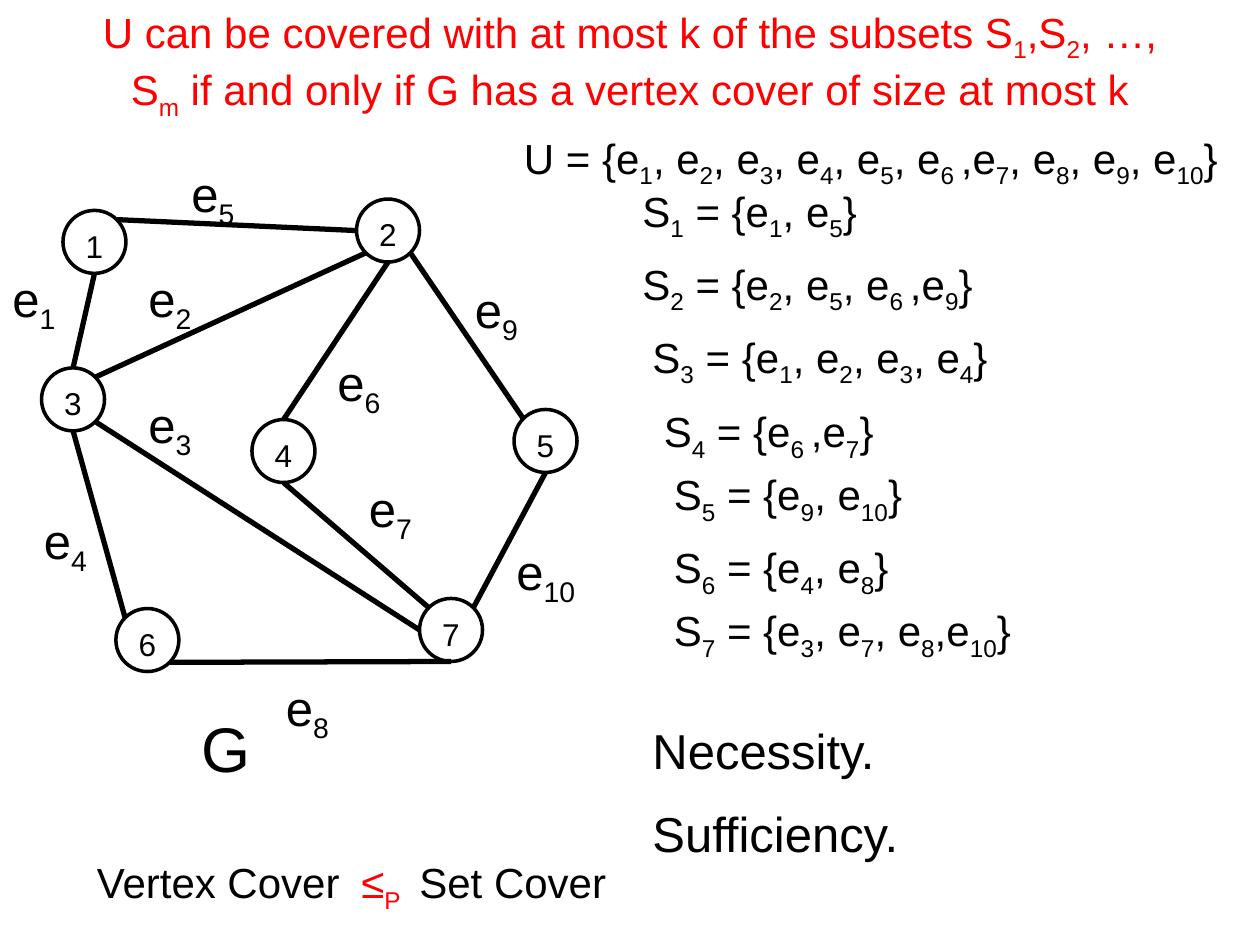
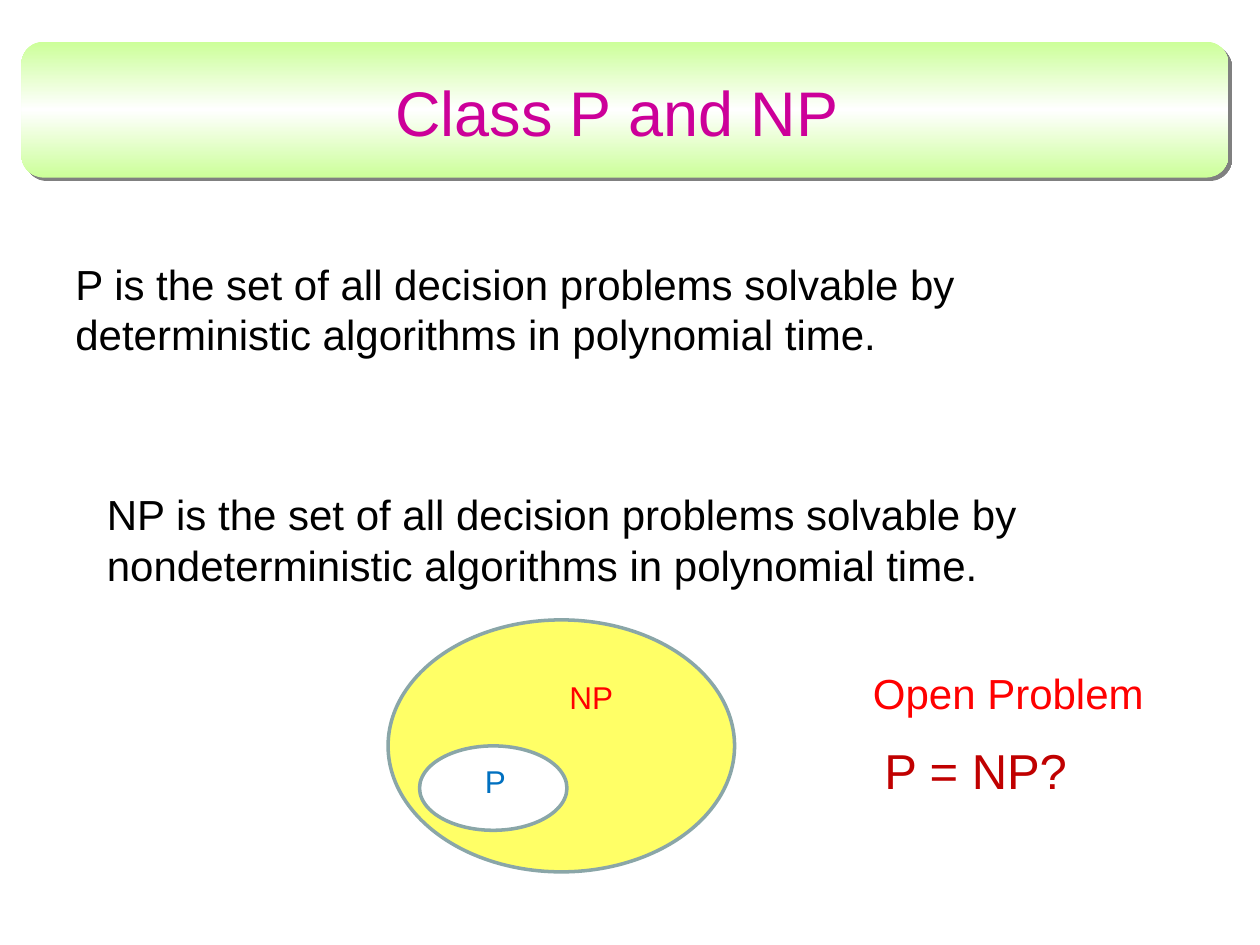
"""Build two slides on vertex cover, set cover and the classes P and NP."""
from copy import deepcopy
from math import cos, radians, sin

from lxml.etree import SubElement
from pptx import Presentation
from pptx.dml.color import RGBColor
from pptx.enum.shapes import MSO_CONNECTOR, MSO_SHAPE
from pptx.enum.text import MSO_ANCHOR, MSO_AUTO_SIZE, PP_ALIGN
from pptx.oxml.ns import qn
from pptx.util import Inches, Pt

FONT = "Arial"
BLACK = RGBColor(0x00, 0x00, 0x00)
WHITE = RGBColor(0xFF, 0xFF, 0xFF)
RED = RGBColor(0xFF, 0x00, 0x00)
DARK_RED = RGBColor(0xC0, 0x00, 0x00)
BLUE = RGBColor(0x00, 0x70, 0xC0)
MAGENTA = RGBColor(0xCC, 0x00, 0x99)
GREEN = RGBColor(0xCC, 0xFF, 0x99)
YELLOW = RGBColor(0xFF, 0xFF, 0x66)
GRAY_TEAL = RGBColor(0x8A, 0xA6, 0xA8)

NODE_SIZE = 0.5
NODES = {
    "1": (0.5, 1.67), "2": (2.83, 1.58), "3": (0.33, 2.92), "4": (2, 3.33),
    "5": (4.08, 3.25), "6": (0.92, 4.83), "7": (3.33, 4.75),
}
SIDE_ANGLES = {"right": 0, "lower right": 45, "bottom": 90, "lower left": 135,
               "left": 180, "upper left": 225, "top": 270, "upper right": 315}
EDGES = [
    ("1", "bottom", "3", "top"),
    ("2", "lower left", "3", "upper right"),
    ("3", "lower right", "7", "left"),
    ("3", "bottom", "6", "upper left"),
    ("1", "upper right", "2", "left"),
    ("2", "bottom", "4", "top"),
    ("4", "bottom", "7", "upper left"),
    ("6", "lower right", "7", "bottom"),
    ("2", "lower right", "5", "upper left"),
    ("5", "bottom", "7", "upper right"),
]
EDGE_LABELS = [(0, 2.08), (1.08, 2.08), (1.08, 3.08), (0.25, 4), (1.42, 1.25),
               (2.58, 2.75), (2.83, 3.75), (2.17, 5.33), (3.67, 2.17), (4, 4.25)]

COVER_TITLE = ("U can be covered with at most k of the subsets S_1_,S_2_, …, S_m_"
               " if and only if G has a vertex cover of size at most k")
SETS = [
    ("U = {e_1_, e_2_, e_3_, e_4_, e_5_, e_6 _,e_7_, e_8_, e_9_, e_10_}", 4.06, 1, 5.94),
    ("S_1_ = {e_1_, e_5_}", 5, 1.42, 1.97),
    ("S_2_ = {e_2_, e_5_, e_6 _,e_9_}", 5, 2, 2.93),
    ("S_3_ = {e_1_, e_2_, e_3_, e_4_}", 5.08, 2.58, 2.96),
    ("S_4_ = {e_6 _,e_7_}", 5.17, 3.17, 1.94),
    ("S_5_ = {e_9_, e_10_}", 5.25, 3.67, 2.09),
    ("S_6_ = {e_4_, e_8_}", 5.25, 4.25, 1.97),
    ("S_7_ = {e_3_, e_7_, e_8_,e_10_}", 5.25, 4.75, 2.99),
]
REDUCTION = "Vertex Cover\t*≤_P_*\tSet Cover"
REDUCTION_TABS = (2.1, 2.56)
PROOF_PARTS = [("Necessity.", 5.67, 1.99), ("Sufficiency.", 6.33, 2.17)]

CLASS_TITLE = "Class P and NP "
DEFINITIONS = [
    ("P is the set of all decision problems solvable by "
     "deterministic algorithms in polynomial time.", 0.5, 2),
    ("NP is the set of all decision problems solvable by "
     "nondeterministic algorithms in polynomial time.", 0.75, 3.83),
]
CLASS_OVALS = [((3.08, 4.92, 2.75, 2), YELLOW), ((3.33, 5.92, 1.17, 0.67), WHITE)]
CLASS_LABELS = [
    ("NP", (4.42, 5.33, 0.55, 0.4), 18, RED),
    ("P", (3.75, 6, 0.37, 0.4), 18, BLUE),
    ("P = NP?", (6.92, 5.83, 1.67, 0.57), 28, DARK_RED),
    ("Open Problem", (6.83, 5.25, 2.37, 0.5), 24, RED),
]


def write_text(shape, text, size=24, color=BLACK, align=PP_ALIGN.LEFT, tabs=()):
    """Fill a shape, with _subscript_ and *red* marks and tab stops in inches."""
    paragraph = shape.text_frame.paragraphs[0]
    paragraph.alignment = align
    if tabs:
        tab_list = SubElement(paragraph._p.get_or_add_pPr(), qn("a:tabLst"))
        for position in tabs:
            SubElement(tab_list, qn("a:tab"), pos=str(Inches(position)), algn="l")
    for color_index, colored in enumerate(text.split("*")):
        for part_index, part in enumerate(colored.split("_")):
            if not part:
                continue
            run = paragraph.add_run()
            run.text = part
            run.font.name = FONT
            run.font.size = Pt(size)
            run.font.color.rgb = RED if color_index % 2 else color
            if part_index % 2:
                run.font._element.set("baseline", "-25000")


def add_text(slide, text, box, wrap=False, anchor=MSO_ANCHOR.TOP, grow=True, **text_format):
    """Add a text box at (left, top, width, height) in inches."""
    shape = slide.shapes.add_textbox(*map(Inches, box))
    frame = shape.text_frame
    frame.word_wrap = wrap
    frame.vertical_anchor = anchor
    frame.auto_size = MSO_AUTO_SIZE.SHAPE_TO_FIT_TEXT if grow else MSO_AUTO_SIZE.NONE
    write_text(shape, text, **text_format)


def add_title(slide, text, box, **text_format):
    """Add a centred slide title."""
    add_text(slide, text, box, wrap=True, grow=False, align=PP_ALIGN.CENTER, **text_format)


def add_oval(slide, box, line_color, fill_color=None):
    """Add an outlined ellipse, filled if a colour is given."""
    oval = slide.shapes.add_shape(MSO_SHAPE.OVAL, *map(Inches, box))
    oval.shadow.inherit = False
    oval.line.color.rgb = line_color
    oval.line.width = Pt(2)
    if fill_color is None:
        oval.fill.background()
    else:
        oval.fill.solid()
        oval.fill.fore_color.rgb = fill_color
    return oval


def add_node(slide, name, left, top):
    """Add a numbered graph node."""
    node = add_oval(slide, (left, top, NODE_SIZE, NODE_SIZE), BLACK)
    frame = node.text_frame
    frame.margin_left = frame.margin_right = frame.margin_bottom = 0
    frame.margin_top = Inches(0.06)
    frame.word_wrap = False
    frame.vertical_anchor = MSO_ANCHOR.MIDDLE
    write_text(node, name, size=18, align=PP_ALIGN.CENTER)


def node_point(name, side):
    """Return the point on the rim of a node."""
    left, top = NODES[name]
    angle, radius = radians(SIDE_ANGLES[side]), NODE_SIZE / 2
    return (Inches(left + radius * (1 + cos(angle))),
            Inches(top + radius * (1 + sin(angle))))


def add_edge(slide, start, start_side, end, end_side):
    """Join two nodes with a line."""
    edge = slide.shapes.add_connector(
        MSO_CONNECTOR.STRAIGHT, *node_point(start, start_side), *node_point(end, end_side))
    edge.line.color.rgb = BLACK
    edge.line.width = Pt(3)
    SubElement(edge._element.spPr, qn("a:effectLst"))


def add_banner(slide, box):
    """Add the rounded gradient band behind a title."""
    banner = slide.shapes.add_shape(MSO_SHAPE.ROUNDED_RECTANGLE, *map(Inches, box))
    banner.line.fill.background()
    banner.fill.gradient()
    banner.fill.gradient_angle = 270
    properties = banner._element.spPr
    stop_list = properties.find(".//" + qn("a:gsLst"))
    stop_list.append(deepcopy(stop_list[0]))
    for stop, position, color in zip(banner.fill.gradient_stops, (0, 0.5, 1), (GREEN, WHITE, GREEN)):
        stop.position = position
        stop.color.rgb = color
    banner.shadow.inherit = False
    shadow = SubElement(properties.find(qn("a:effectLst")), qn("a:outerShdw"),
                        dist=str(Pt(2.8)), dir="2700000", algn="ctr", rotWithShape="0")
    SubElement(shadow, qn("a:srgbClr"), val="808080")


def build_cover_slide(slide):
    """Draw the graph and its set cover instance."""
    add_text(slide, REDUCTION, (0.67, 6.75, 4.32, 0.5), wrap=True, tabs=REDUCTION_TABS)
    for name, (left, top) in NODES.items():
        add_node(slide, name, left, top)
    for edge in EDGES:
        add_edge(slide, *edge)
    for number, (left, top) in enumerate(EDGE_LABELS, start=1):
        width = 0.57 if number < 10 else 0.71
        add_text(slide, f"e_{number}_", (left, top, width, 0.57), size=28)
    for text, left, top, width in SETS:
        add_text(slide, text, (left, top, width, 0.5))
    add_text(slide, "G", (1.5, 5.58, 0.59, 0.71), size=36)
    add_title(slide, COVER_TITLE, (0.5, 0, 9, 1), color=RED)
    for text, top, width in PROOF_PARTS:
        add_text(slide, text, (5.08, top, width, 0.57), size=28)


def build_class_slide(slide):
    """Draw the definitions of P and NP and their diagram."""
    add_banner(slide, (0.17, 0.33, 9.58, 1.08))
    add_title(slide, CLASS_TITLE, (0.17, 0.42, 9.58, 0.92), size=36, color=MAGENTA,
              anchor=MSO_ANCHOR.MIDDLE)
    for text, left, top in DEFINITIONS:
        add_text(slide, text, (left, top, 9.08, 0.91), wrap=True)
    for box, fill_color in CLASS_OVALS:
        add_oval(slide, box, GRAY_TEAL, fill_color)
    for text, box, size, color in CLASS_LABELS:
        add_text(slide, text, box, size=size, color=color)


def main():
    """Build and save the presentation."""
    presentation = Presentation()
    presentation.slide_width = Inches(10)
    presentation.slide_height = Inches(7.5)
    blank_layout = presentation.slide_layouts[6]
    for build_slide in (build_cover_slide, build_class_slide):
        build_slide(presentation.slides.add_slide(blank_layout))
    presentation.save("out.pptx")


if __name__ == "__main__":
    main()
